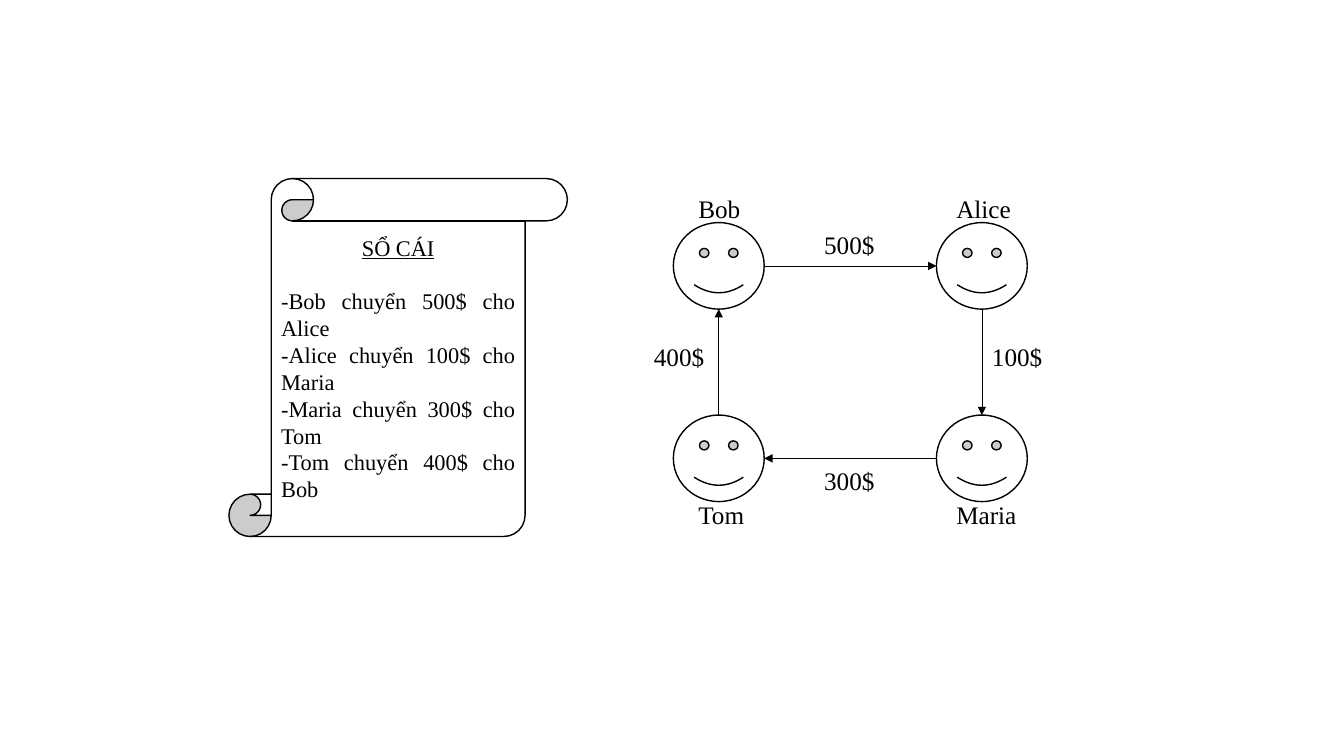
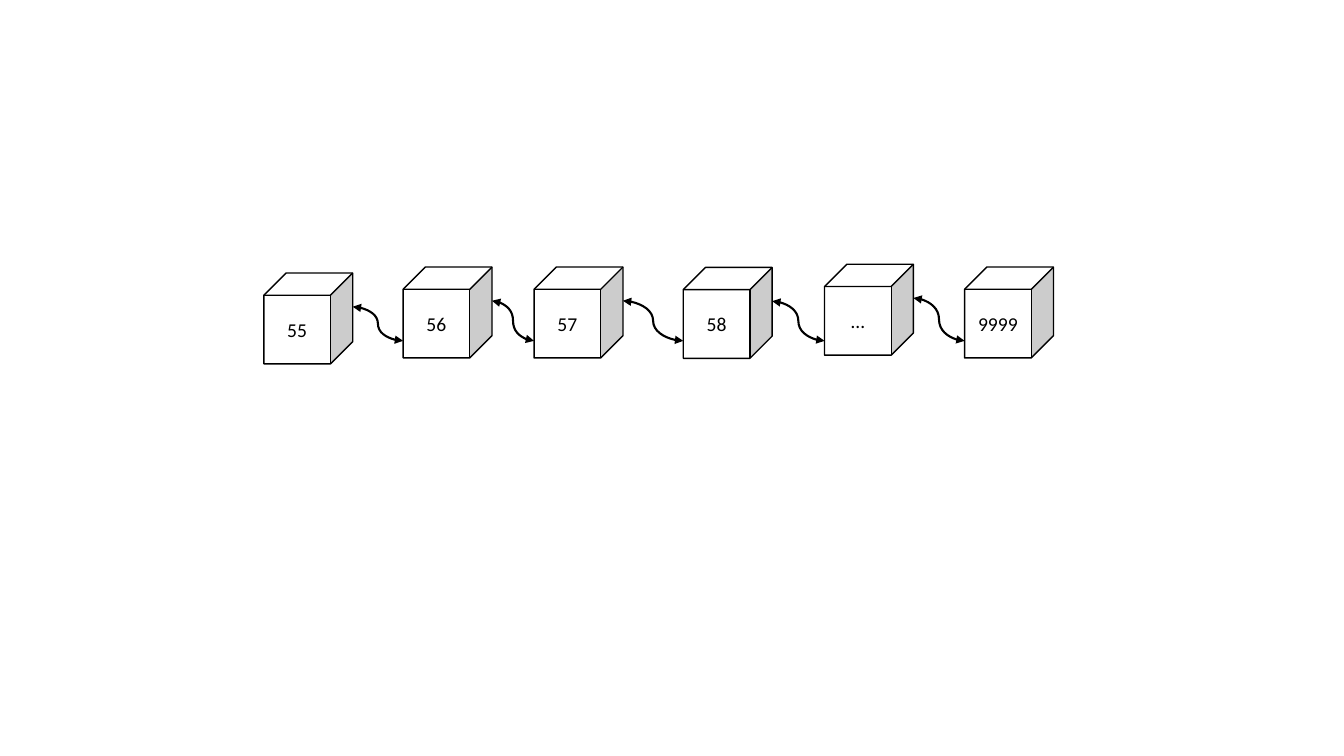
import lxml.etree
import pptx
import pptx.dml.color
import pptx.enum.shapes
import pptx.enum.text
import pptx.oxml.ns
import pptx.util

Cm = pptx.util.Cm
Pt = pptx.util.Pt
Shape = pptx.enum.shapes.MSO_SHAPE
Line = pptx.enum.shapes.MSO_CONNECTOR
Align = pptx.enum.text.PP_ALIGN
qn = pptx.oxml.ns.qn


def tint(code):
    return pptx.dml.color.RGBColor.from_string(code)


def write(para, text, size=18, font="Times New Roman", ink="000000",
          align=Align.LEFT, under=False, after=0):
    para.alignment = align
    para.space_after = Pt(after)
    run = para.add_run()
    run.text = text
    run.font.size = Pt(size)
    run.font.name = font
    run.font.color.rgb = tint(ink)
    if under:
        run.font.underline = True


class Deck:
    ink = "000000"
    paper = "FFFFFF"

    def __init__(self):
        self.file = pptx.Presentation()
        self.file.slide_width = Cm(33.87)
        self.file.slide_height = Cm(19.05)

    def start(self):
        """Add a blank slide and make it the current one."""
        self.slide = self.file.slides.add_slide(self.file.slide_layouts[6])

    def shape(self, kind, left, top, width, height):
        item = self.slide.shapes.add_shape(
            kind, Cm(left), Cm(top), Cm(width), Cm(height))
        item.shadow.inherit = False
        item.fill.solid()
        item.fill.fore_color.rgb = tint(self.paper)
        item.line.color.rgb = tint(self.ink)
        item.line.width = Pt(1)
        item.text_frame.vertical_anchor = pptx.enum.text.MSO_ANCHOR.MIDDLE
        return item

    def label(self, text, left, top, width):
        box = self.slide.shapes.add_textbox(
            Cm(left), Cm(top), Cm(width), Cm(1.02))
        frame = box.text_frame
        frame.word_wrap = False
        frame.auto_size = pptx.enum.text.MSO_AUTO_SIZE.SHAPE_TO_FIT_TEXT
        write(frame.paragraphs[0], text)

    def arrow(self, start, end, kind=Line.STRAIGHT, weight=0.5, both=False):
        wire = self.slide.shapes.add_connector(
            kind, *(Cm(value) for value in (*start, *end)))
        wire.line.color.rgb = tint(self.ink)
        wire.line.width = Pt(weight)
        props = wire.element.spPr
        stroke = props.find(qn("a:ln"))
        for tip in ("a:headEnd", "a:tailEnd") if both else ("a:tailEnd",):
            lxml.etree.SubElement(stroke, qn(tip), type="triangle")
        lxml.etree.SubElement(props, qn("a:effectLst"))


def ledger(deck):
    deck.start()
    scroll = deck.shape(Shape.VERTICAL_SCROLL, 5.77, 4.5, 8.53, 9.02)
    frame = scroll.text_frame
    frame.word_wrap = True
    write(frame.paragraphs[0], "SỔ CÁI", size=16, align=Align.CENTER,
          under=True, after=19)
    names = ["Bob", "Alice", "Maria", "Tom"]
    sums = [500, 100, 300, 400]
    for spot, (name, cash) in enumerate(zip(names, sums)):
        heir = names[(spot + 1) % len(names)]
        write(frame.add_paragraph(), f"-{name} chuyển {cash}$ cho {heir}",
              size=16, align=Align.JUSTIFY)

    wide, high = 2.29, 2.18
    west, east, north, south = 16.97, 23.6, 5.61, 10.46
    for left in (west, east):
        for top in (north, south):
            deck.shape(Shape.SMILEY_FACE, left, top, wide, high)

    midx, midy = wide / 2, high / 2
    deck.arrow((west + wide, north + midy), (east, north + midy))
    deck.arrow((east + midx, north + high), (east + midx, south))
    deck.arrow((east, south + midy), (west + wide, south + midy))
    deck.arrow((west + midx, south), (west + midx, north + high))

    spots = [(20.52, 5.66), (24.75, 8.48), (20.52, 11.6), (16.23, 8.48)]
    for cash, spot in zip(sums, spots):
        deck.label(f"{cash}$", *spot, 1.8)
    spots = [(17.35, 4.75, 1.57), (23.85, 4.75, 1.9),
             (23.85, 12.47, 2.06), (17.35, 12.47, 1.68)]
    for name, spot in zip(names, spots):
        deck.label(name, *spot)


def chain(deck):
    deck.start()
    wide, high = 2.24, 2.29
    cubes = [("55", 6.65, 6.88), ("56", 10.16, 6.73), ("57", 13.46, 6.73),
             ("58", 17.22, 6.74), ("…", 20.78, 6.66), ("9999", 24.31, 6.73)]
    for text, left, top in cubes:
        cube = deck.shape(Shape.CUBE, left, top, wide, high)
        write(cube.text_frame.paragraphs[0], text, size=14, font="Calibri",
              align=Align.CENTER)
    for (_, left, top), (_, after, _) in zip(cubes, cubes[1:]):
        deck.arrow((left + wide, top + 0.85), (after, 8.59),
                   kind=Line.CURVE, weight=1.5, both=True)


def main():
    deck = Deck()
    ledger(deck)
    chain(deck)
    deck.file.save("out.pptx")


if __name__ == "__main__":
    main()
